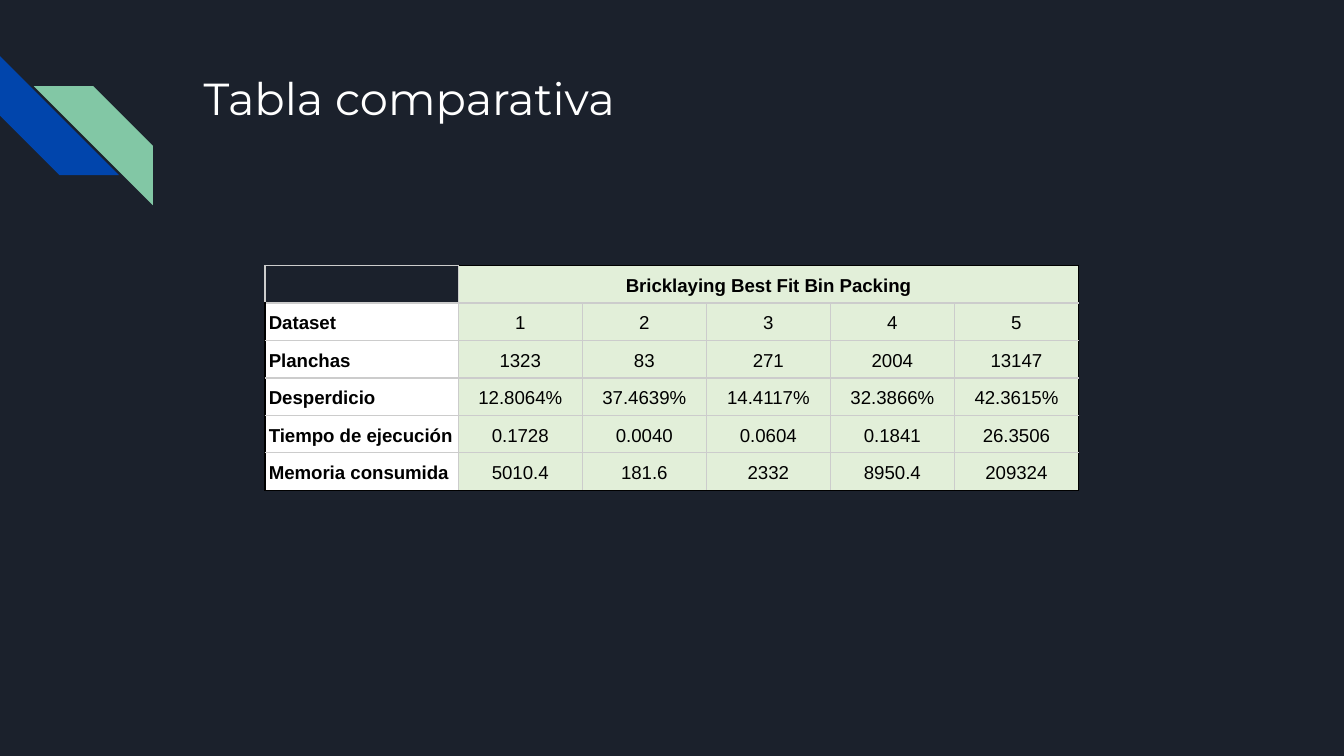
from lxml.etree import SubElement
from pptx import Presentation
from pptx.dml.color import RGBColor
from pptx.enum.shapes import MSO_SHAPE as SHAPE
from pptx.enum.text import MSO_ANCHOR as ANCHOR, PP_ALIGN as ALIGN
from pptx.oxml.ns import qn
from pptx.util import Cm, Pt

COLORS = {
    "background": "1B212C", "blue": "0145AC", "mint": "82C7A5",
    "white": "FFFFFF", "black": "000000", "green": "E2EFD9", "grid": "CCCCCC",
}
ROWS = [
    ["", "Bricklaying Best Fit Bin Packing", "", "", "", ""],
    ["Dataset", "1", "2", "3", "4", "5"],
    ["Planchas", "1323", "83", "271", "2004", "13147"],
    ["Desperdicio", "12.8064%", "37.4639%", "14.4117%", "32.3866%", "42.3615%"],
    ["Tiempo de ejecución", "0.1728", "0.0040", "0.0604", "0.1841", "26.3506"],
    ["Memoria consumida", "5010.4", "181.6", "2332", "8950.4", "209324"],
]


def rgb(name):
    return RGBColor.from_string(COLORS[name])


def set_font(p, name, size, color, bold=False):
    p.font.name, p.font.size, p.font.bold = name, Pt(size), bold
    p.font.color.rgb = rgb(color)


def add_stripe(s, left, top, size, color):
    sp = s.shapes.add_shape(SHAPE.DIAGONAL_STRIPE, left, top, size, size)
    sp.shadow.inherit = False
    sp.fill.solid()
    sp.fill.fore_color.rgb = rgb(color)
    sp.line.fill.background()
    return sp


def add_corner(s, left, top, size):
    """Two diagonal stripes, the second shifted right and down."""
    add_stripe(s, left, top, size, "blue").rotation = 270
    mint = add_stripe(s, left + Cm(0.64), top + Cm(0.57), size, "mint")
    mint._element.spPr.xfrm.set("flipH", "1")


def set_title(s, text, left, top, width, height):
    title = s.shapes.title
    title.left, title.top, title.width, title.height = left, top, width, height
    tf = title.text_frame
    tf.margin_left = tf.margin_right = tf.margin_top = tf.margin_bottom = Cm(0.25)
    tf.vertical_anchor = ANCHOR.TOP
    tf.text = text
    p = tf.paragraphs[0]
    p.alignment = ALIGN.LEFT
    set_font(p, "Montserrat", 24, "white")


def set_borders(cell, colors):
    """Draw the left, right, top and bottom borders in the given colours."""
    tc_pr = cell._tc.get_or_add_tcPr()
    for side, color in zip("LRTB", colors):
        ln = SubElement(tc_pr, qn(f"a:ln{side}"), w=str(Pt(0.75)))
        fill = SubElement(ln, qn("a:solidFill"))
        SubElement(fill, qn("a:srgbClr"), val=COLORS[color])


def format_cell(cell, text, row, col):
    last_row, last_col = len(ROWS) - 1, len(ROWS[0]) - 1
    corner = row == col == 0
    outer = (col == 0, col + cell.span_width - 1 == last_col,
             row == 0, row == last_row)
    set_borders(cell, ["black" if edge and not corner else "grid"
                       for edge in outer])
    if corner:
        cell.fill.background()
    else:
        cell.fill.solid()
        cell.fill.fore_color.rgb = rgb("green" if col else "white")
    cell.margin_left = cell.margin_right = Cm(0.07)
    cell.margin_top = cell.margin_bottom = 0
    cell.vertical_anchor = ANCHOR.MIDDLE
    p = cell.text_frame.paragraphs[0]
    p.line_spacing = 1.15
    p.alignment = ALIGN.CENTER if col else ALIGN.LEFT
    set_font(p, "Arial", 10, "black", bold=row == 0 or col == 0)
    if text:
        p.add_run().text = text
    else:  # keeps the empty cell as low as the others
        p._p.get_or_add_endParaRPr().set("sz", "1000")


def add_comparison(s, left, top, width, height):
    label_width = Cm(3.65)
    table = s.shapes.add_table(len(ROWS), len(ROWS[0]),
                               left, top, width, height).table
    table.first_row = table.horz_banding = False
    value_width = (width - label_width) // (len(ROWS[0]) - 1)
    for i, column in enumerate(table.columns):
        column.width = value_width if i else label_width
    table.cell(0, 1).merge(table.cell(0, len(ROWS[0]) - 1))
    for i, values in enumerate(ROWS):
        for j, text in enumerate(values):
            format_cell(table.cell(i, j), text, i, j)


def main():
    prs = Presentation()
    prs.slide_width, prs.slide_height = Cm(25.4), Cm(14.29)
    s = prs.slides.add_slide(prs.slide_layouts[5])
    s.background.fill.solid()
    s.background.fill.fore_color.rgb = rgb("background")
    add_corner(s, Cm(0), Cm(1.06), Cm(2.25))
    set_title(s, "Tabla comparativa", Cm(3.6), Cm(1.09), Cm(19.56), Cm(2.54))
    add_comparison(s, Cm(5.01), Cm(5.02), Cm(15.37), Cm(4.25))
    prs.save("out.pptx")


if __name__ == "__main__":
    main()
